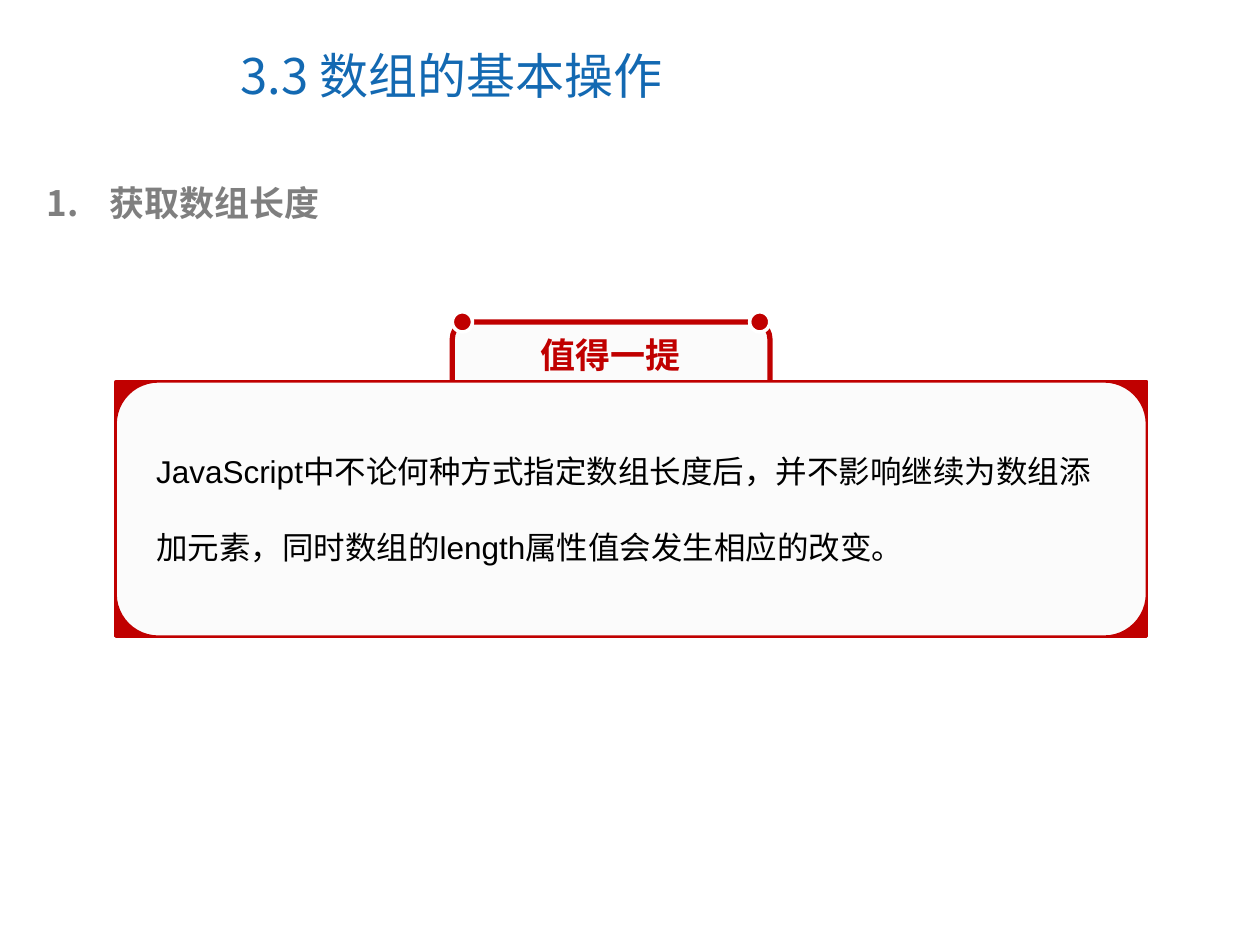
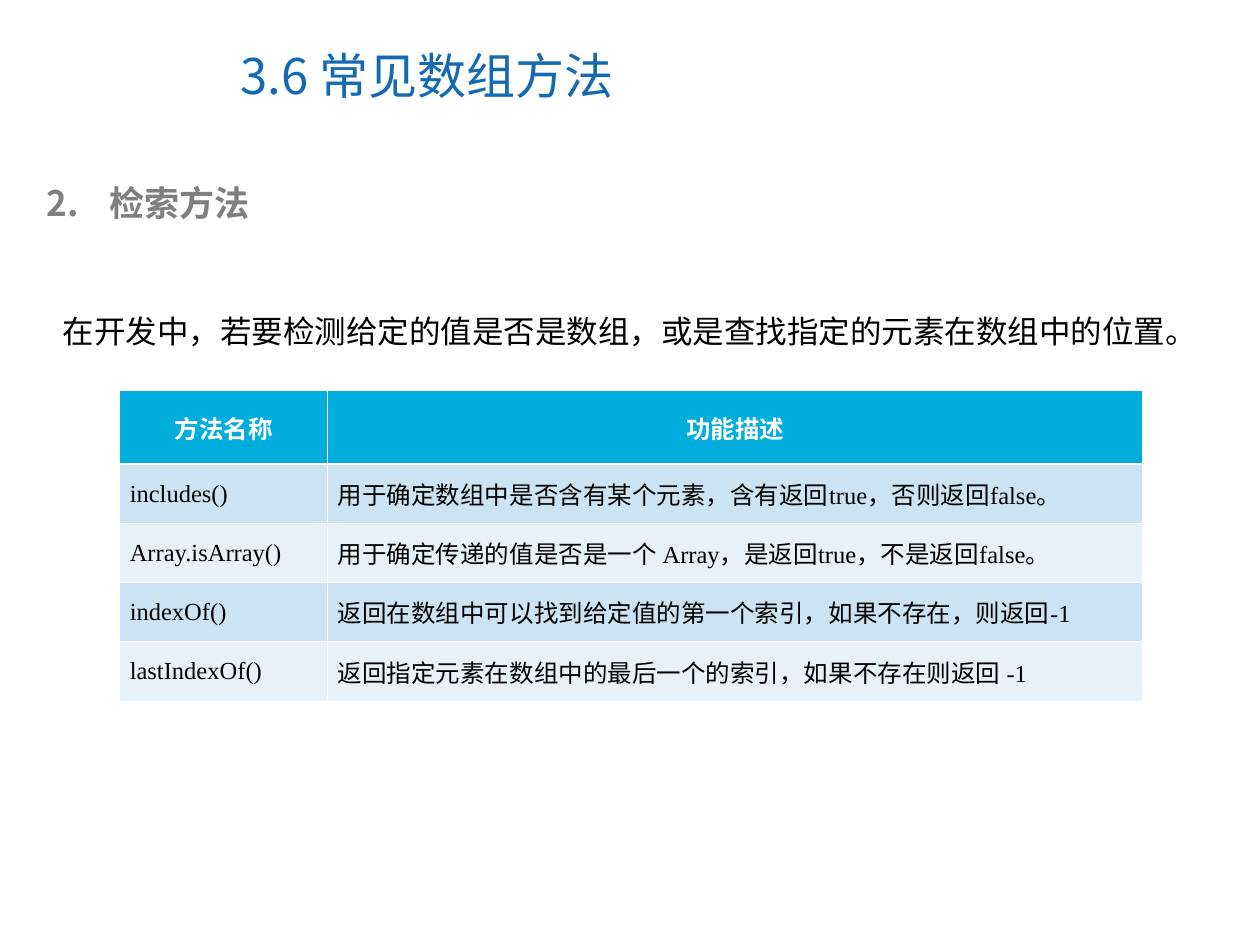
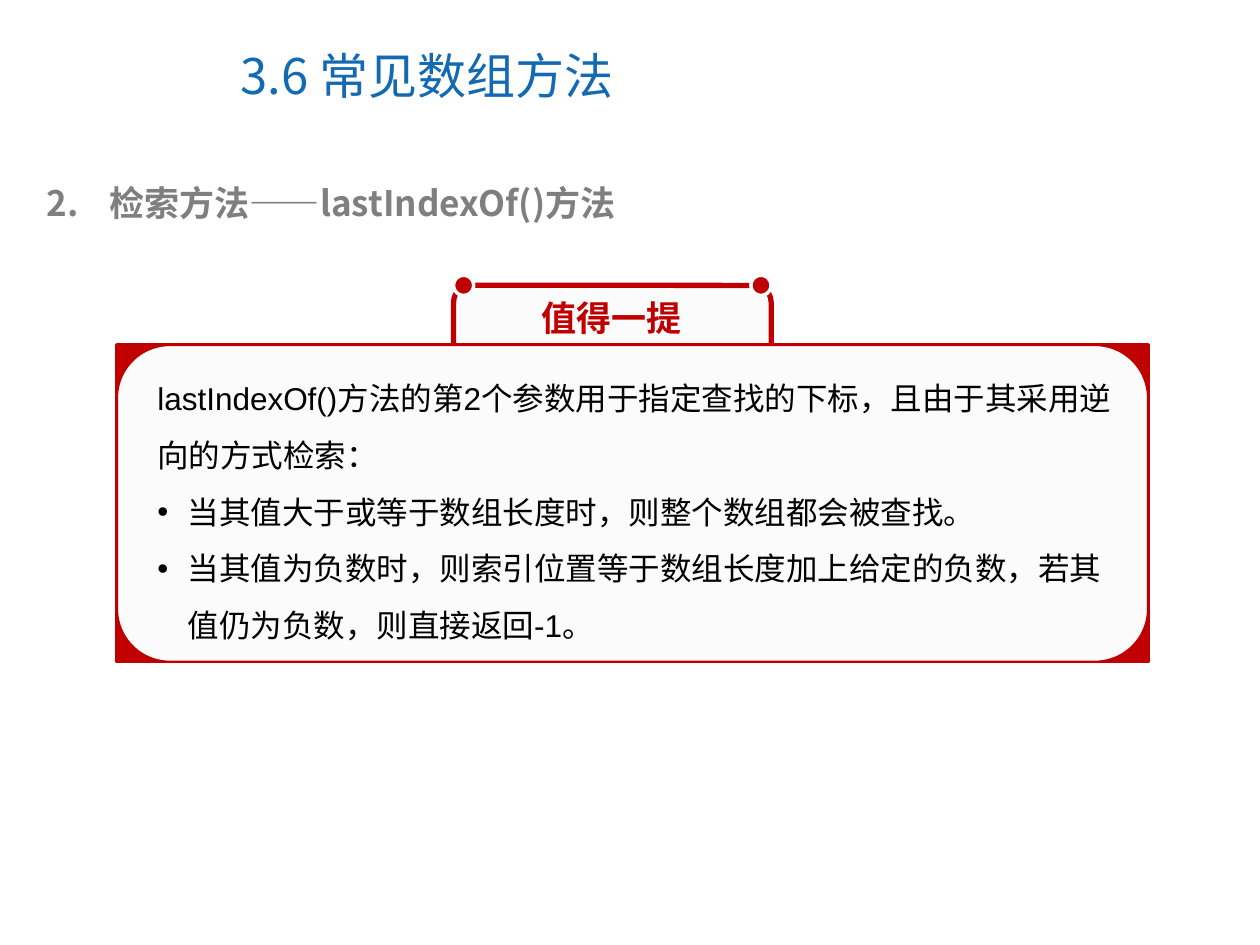
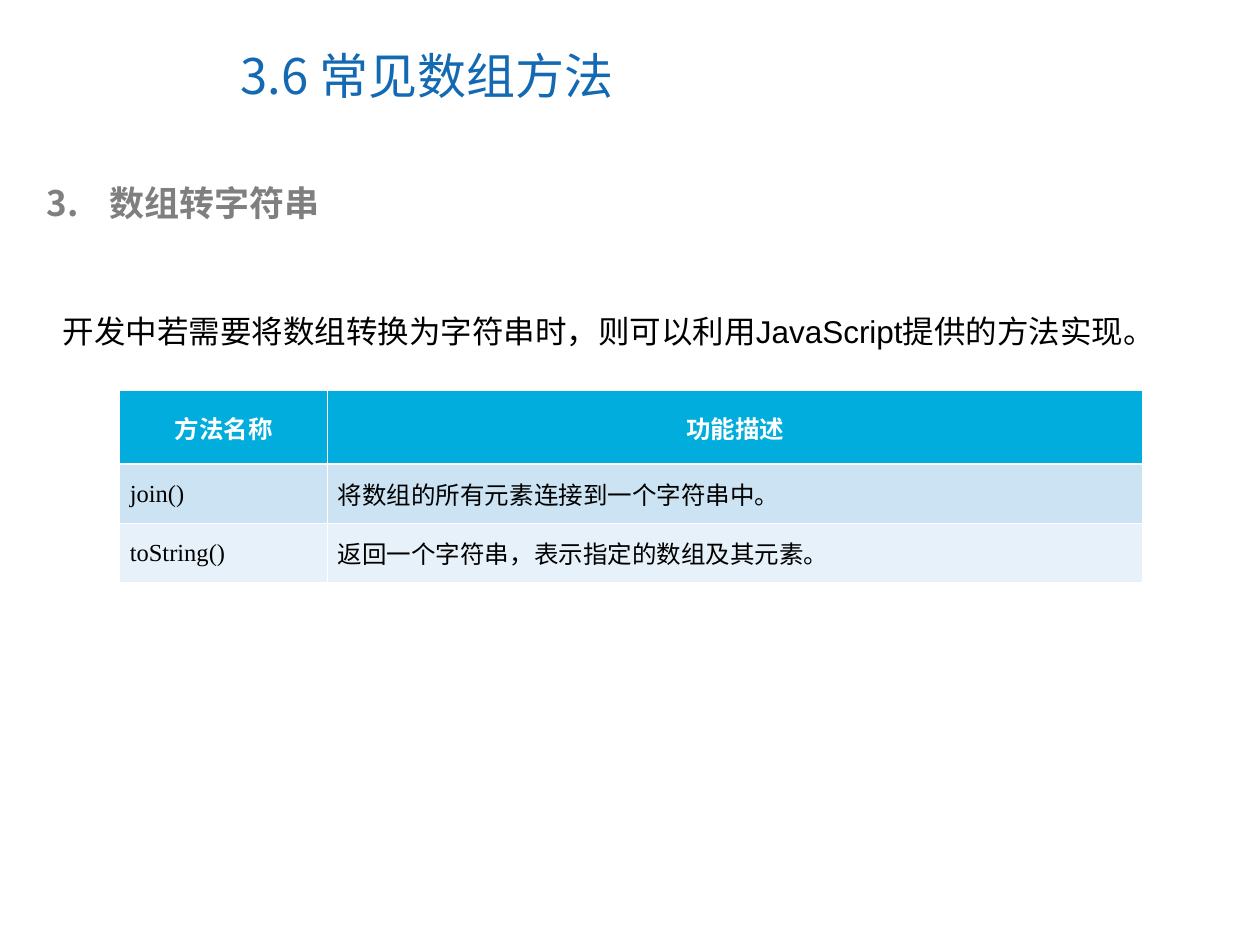
import dataclasses
import typing

import lxml.etree
import pptx
import pptx.dml.color
import pptx.enum.shapes
import pptx.enum.text
import pptx.oxml.ns
import pptx.util

COLUMNS = 100
ROWS = 75
SLIDE_WIDTH = pptx.util.Inches(10)
SLIDE_HEIGHT = pptx.util.Inches(7.5)
SHAPE = pptx.enum.shapes.MSO_SHAPE
ALIGN = pptx.enum.text.PP_ALIGN
ANCHOR = pptx.enum.text.MSO_ANCHOR
FIT = pptx.enum.text.MSO_AUTO_SIZE


class TextStyle(typing.NamedTuple):
    size: float
    latin: str
    color: str
    bold: bool = False
    align: typing.Any = ALIGN.LEFT


@dataclasses.dataclass(frozen=True)
class Theme:
    asian_font: str = "Noto Sans CJK SC"
    red: str = "C00000"
    white: str = "FFFFFF"
    paper: str = "FBFBFB"
    header_fill: str = "00ADDC"
    bands: tuple[str, str] = ("CBE3F2", "E7F1F9")
    thin: float = 0.45
    thick: float = 1.47
    title: TextStyle = TextStyle(28, "Noto Sans CJK SC", "1369B2")
    heading: TextStyle = TextStyle(20, "Noto Sans CJK SC", "7F7F7F", True)
    label: TextStyle = TextStyle(20, "Noto Sans CJK SC", "C00000", True)
    body: TextStyle = TextStyle(18, "Arial", "000000")
    header: TextStyle = TextStyle(14, "Lato", "FFFFFF", True, ALIGN.CENTER)
    cell: TextStyle = TextStyle(14, "Times New Roman", "000000")


THEME = Theme()


class Area(typing.NamedTuple):
    left: float
    top: float
    width: float
    height: float

    def inside(self, left: float, top: float, width: float, height: float) -> "Area":
        return Area(self.left + left, self.top + top, width, height)

    def lengths(self) -> tuple[int, int, int, int]:
        return across(self.left), down(self.top), across(self.width), down(self.height)


class Mark(typing.NamedTuple):
    tag: str
    attributes: dict[str, str]
    font: str
    indent: float


class Line(typing.NamedTuple):
    text: str
    mark: typing.Optional[Mark] = None


class Callout(typing.NamedTuple):
    panel: Area
    text_top: float
    text_height: float
    spacing: float
    lines: list[Line]


class MethodTable(typing.NamedTuple):
    lead: str
    lead_width: float
    methods: list[tuple[str, str]]


class Page(typing.NamedTuple):
    title: str
    number: int
    heading: str
    content: typing.Union[Callout, MethodTable]


TITLE_AREA = Area(18.1, 1.7, 51.6, 8.5)
HEADING_AREA = Area(2.7, 13.9, 92.2, 4.4)
TABLE_LEFT, TABLE_TOP = 9.5, 31
TABLE_COLUMNS = (16.5, 64.7)
HEADER_HEIGHT, ROW_HEIGHT = 5.85, 4.7
TAB_LEFT, TAB_WIDTH, DOT = 26.7, 25.2, 1.6
BULLET = Mark("a:buChar", {"char": "•"}, "Arial", 2.4)
METHODS_TITLE = "3.6 常见数组方法"

PAGES = [
    Page("3.3 数组的基本操作", 1, "获取数组长度", Callout(
        Area(9.2, 30.3, 81.8, 20.2), 2.1, 13, 2,
        [Line("JavaScript中不论何种方式指定数组长度后，并不影响继续为数组添加元素，"
              "同时数组的length属性值会发生相应的改变。")])),
    Page(METHODS_TITLE, 2, "检索方法", MethodTable(
        "在开发中，若要检测给定的值是否是数组，或是查找指定的元素在数组中的位置。", 93.3,
        [("includes()", "用于确定数组中是否含有某个元素，含有返回true，否则返回false。"),
         ("Array.isArray()", "用于确定传递的值是否是一个 Array，是返回true，不是返回false。"),
         ("indexOf()", "返回在数组中可以找到给定值的第一个索引，如果不存在，则返回-1"),
         ("lastIndexOf()", "返回指定元素在数组中的最后一个的索引，如果不存在则返回 -1")])),
    Page(METHODS_TITLE, 2, "检索方法——lastIndexOf()方法", Callout(
        Area(9.3, 27.4, 81.8, 25.1), 0.7, 23.5, 1.5,
        [Line("lastIndexOf()方法的第2个参数用于指定查找的下标，且由于其采用逆向的方式检索："),
         Line("当其值大于或等于数组长度时，则整个数组都会被查找。", BULLET),
         Line("当其值为负数时，则索引位置等于数组长度加上给定的负数，若其值仍为负数，则直接返回-1。",
              BULLET)])),
    Page(METHODS_TITLE, 3, "数组转字符串", MethodTable(
        "开发中若需要将数组转换为字符串时，则可以利用JavaScript提供的方法实现。", 91.9,
        [("join()", "将数组的所有元素连接到一个字符串中。"),
         ("toString()", "返回一个字符串，表示指定的数组及其元素。")])),
]


def across(columns: float) -> int:
    return round(SLIDE_WIDTH * columns / COLUMNS)


def down(rows: float) -> int:
    return round(SLIDE_HEIGHT * rows / ROWS)


def rgb(color: str) -> pptx.dml.color.RGBColor:
    return pptx.dml.color.RGBColor.from_string(color)


def add_element(parent: typing.Any, tag: str, **attributes: str) -> typing.Any:
    return lxml.etree.SubElement(parent, pptx.oxml.ns.qn(tag), attributes)


def add_mark(para: typing.Any, mark: Mark, color: str) -> None:
    properties = para._p.get_or_add_pPr()
    properties.set("marL", str(across(mark.indent)))
    properties.set("indent", str(-across(mark.indent)))
    add_element(add_element(properties, "a:buClr"), "a:srgbClr", val=color)
    add_element(properties, "a:buFont", typeface=mark.font)
    add_element(properties, mark.tag, **mark.attributes)


def write(frame: typing.Any, lines: list[Line], style: TextStyle, spacing: float = 1) -> None:
    for index, line in enumerate(lines):
        para = frame.add_paragraph() if index else frame.paragraphs[0]
        para.text = line.text
        if line.mark:
            add_mark(para, line.mark, style.color)
        para.alignment = style.align
        para.line_spacing = spacing
        para.space_before = pptx.util.Pt(0)
        para.font.size = pptx.util.Pt(style.size)
        para.font.bold = style.bold
        para.font.color.rgb = rgb(style.color)
        para.font.name = style.latin
        defaults = para._p.pPr.find(pptx.oxml.ns.qn("a:defRPr"))
        add_element(defaults, "a:ea", typeface=THEME.asian_font)


def fill_placeholder(holder: typing.Any, area: Area, line: Line, style: TextStyle,
                     anchor: typing.Any) -> None:
    holder.left, holder.top, holder.width, holder.height = area.lengths()
    holder.text_frame.auto_size = FIT.NONE
    holder.text_frame.vertical_anchor = anchor
    write(holder.text_frame, [line], style)


def add_text(shapes: typing.Any, area: Area, lines: list[Line], style: TextStyle,
             spacing: float = 1, wrap: bool = True) -> None:
    box = shapes.add_textbox(*area.lengths())
    box.text_frame.word_wrap = wrap
    box.text_frame.auto_size = FIT.SHAPE_TO_FIT_TEXT
    write(box.text_frame, lines, style, spacing)


def add_block(shapes: typing.Any, kind: typing.Any, area: Area, fill: str, line: str,
              weight: float) -> None:
    block = shapes.add_shape(kind, *area.lengths())
    block.shadow.inherit = False
    block.fill.solid()
    block.fill.fore_color.rgb = rgb(fill)
    block.line.color.rgb = rgb(line)
    block.line.width = pptx.util.Pt(weight)


def add_callout(shapes: typing.Any, callout: Callout) -> None:
    panel = callout.panel
    tab = panel.inside(TAB_LEFT, -4.75, TAB_WIDTH, 7.9)
    add_block(shapes, SHAPE.ROUNDED_RECTANGLE, tab, THEME.paper, THEME.red, 3)
    frame = shapes.add_group_shape().shapes
    add_block(frame, SHAPE.FLOWCHART_PROCESS, panel, THEME.red, THEME.red, 2)
    add_block(frame, SHAPE.FLOWCHART_ALTERNATE_PROCESS, panel, THEME.paper, THEME.red, 1)
    caption = shapes.add_group_shape().shapes
    for left in (0, TAB_WIDTH - DOT):
        add_block(caption, SHAPE.OVAL, tab.inside(left, -DOT / 2, DOT, DOT),
                  THEME.red, THEME.white, 2)
    add_text(caption, tab.inside(6, 0.4, 13.1, 4.4), [Line("值得一提")], THEME.label, wrap=False)
    add_text(shapes, panel.inside(2.2, callout.text_top, 78.5, callout.text_height),
             callout.lines, THEME.body, callout.spacing)


def fill_cell(cell: typing.Any, text: str, style: TextStyle, fill: str, top: float,
              bottom: float) -> None:
    cell.margin_left = cell.margin_right = across(0.8)
    cell.vertical_anchor = ANCHOR.MIDDLE
    write(cell.text_frame, [Line(text)], style)
    properties = cell._tc.get_or_add_tcPr()
    for side, weight in (("L", THEME.thin), ("R", THEME.thin), ("T", top), ("B", bottom)):
        border = add_element(properties, f"a:ln{side}", w=str(pptx.util.Pt(weight)))
        add_element(add_element(border, "a:solidFill"), "a:srgbClr", val=THEME.white)
    cell.fill.solid()
    cell.fill.fore_color.rgb = rgb(fill)


def add_methods(shapes: typing.Any, content: MethodTable) -> None:
    add_text(shapes, Area(4, 21.3, content.lead_width, 7), [Line(content.lead)], THEME.body, 2)
    rows = [("方法名称", "功能描述"), *content.methods]
    heights = [HEADER_HEIGHT] + [ROW_HEIGHT] * len(content.methods)
    area = Area(TABLE_LEFT, TABLE_TOP, sum(TABLE_COLUMNS), sum(heights))
    table = shapes.add_table(len(rows), len(TABLE_COLUMNS), *area.lengths()).table
    table.horz_banding = False
    for column, width in zip(table.columns, TABLE_COLUMNS):
        column.width = across(width)
    for index, (texts, height) in enumerate(zip(rows, heights)):
        table.rows[index].height = down(height)
        style = THEME.cell if index else THEME.header
        fill = THEME.bands[(index - 1) % 2] if index else THEME.header_fill
        top = THEME.thick if index == 1 else THEME.thin
        bottom = THEME.thin if index else THEME.thick
        for cell, text in zip(table.rows[index].cells, texts):
            fill_cell(cell, text, style, fill, top, bottom)


def add_page(deck: typing.Any, page: Page) -> None:
    slide = deck.slides.add_slide(deck.slide_layouts[1])
    fill_placeholder(slide.shapes.title, TITLE_AREA, Line(page.title), THEME.title, ANCHOR.MIDDLE)
    number = Mark("a:buAutoNum", {"type": "arabicPeriod", "startAt": str(page.number)},
                  THEME.asian_font, 5)
    fill_placeholder(slide.placeholders[1], HEADING_AREA, Line(page.heading, number),
                     THEME.heading, ANCHOR.TOP)
    if isinstance(page.content, Callout):
        add_callout(slide.shapes, page.content)
    else:
        add_methods(slide.shapes, page.content)


def main() -> None:
    deck = pptx.Presentation()
    deck.slide_width, deck.slide_height = SLIDE_WIDTH, SLIDE_HEIGHT
    for page in PAGES:
        add_page(deck, page)
    deck.save("out.pptx")


if __name__ == "__main__":
    main()
